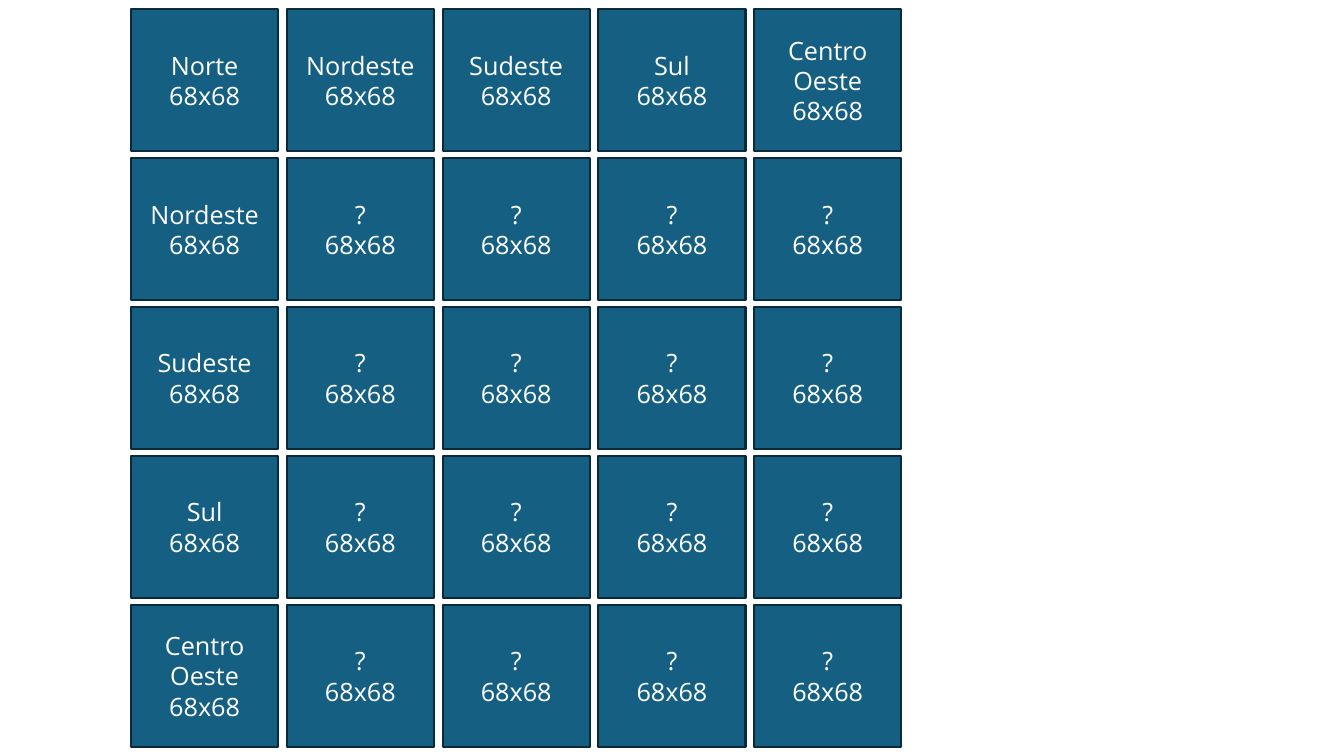
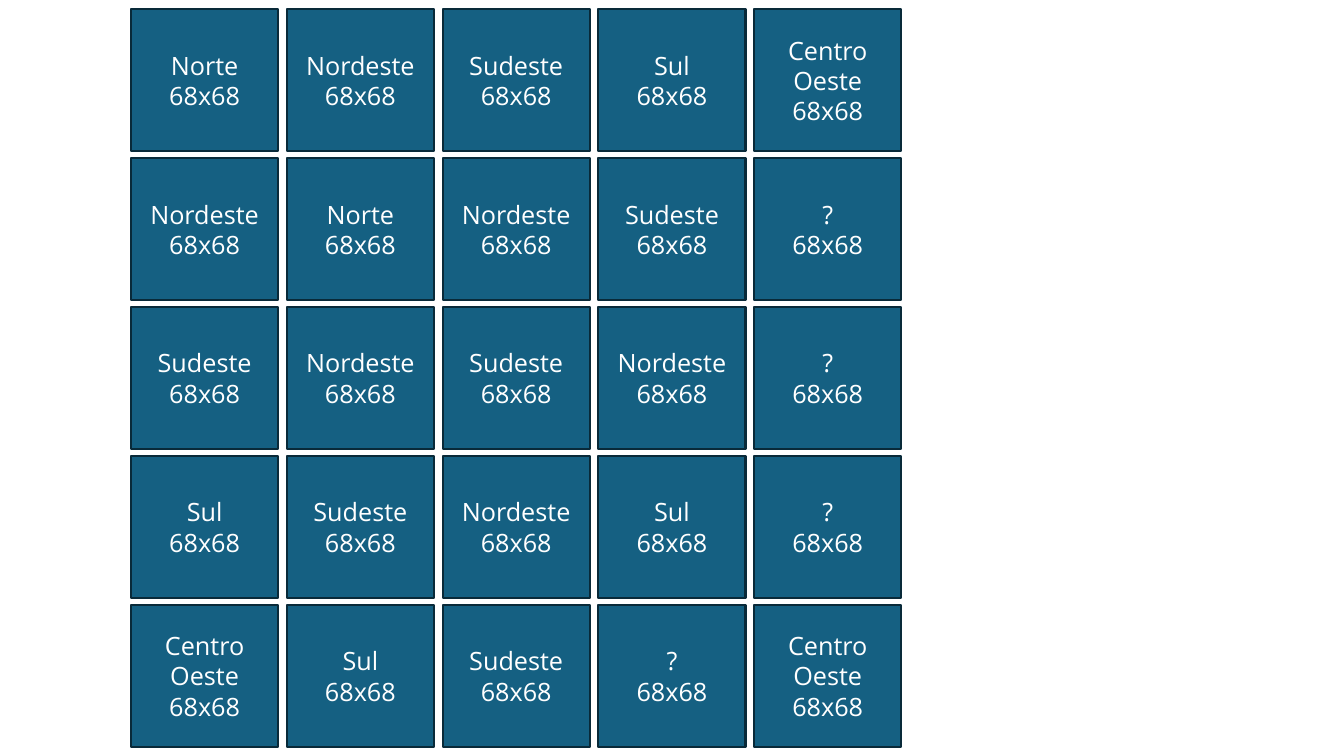
from dataclasses import dataclass

from pptx import Presentation
from pptx.dml.color import RGBColor
from pptx.enum.shapes import MSO_SHAPE as SHAPE
from pptx.enum.text import MSO_ANCHOR as ANCHOR, PP_ALIGN as ALIGN
from pptx.util import Inches, Pt

N, NE, SE, S, CO = REGIONS = ["Norte", "Nordeste", "Sudeste", "Sul", "Centro Oeste"]
UNKNOWN = "?"
BLOCK_SIZE = "68x68"

INNER_BLOCKS = [
    [[UNKNOWN] * 4] * 4,
    [
        [N, NE, SE, UNKNOWN],
        [NE, SE, NE, UNKNOWN],
        [SE, NE, S, UNKNOWN],
        [S, SE, UNKNOWN, CO],
    ],
]


@dataclass(frozen=True)
class Theme:
    fill: RGBColor = RGBColor.from_string("156082")
    border: RGBColor = RGBColor.from_string("092A39")
    text: RGBColor = RGBColor.from_string("FFFFFF")
    font: str = "Open Sans"
    size: Pt = Pt(18)
    border_width: Pt = Pt(1.5)


THEME = Theme()
SLIDE_W, SLIDE_H = Inches(13.33), Inches(7.5)
LEFT, TOP = Inches(1.3), Inches(0.09)
LAST_LEFT, LAST_TOP = Inches(7.48), Inches(6)
BLOCK_W, BLOCK_H = Inches(1.46), Inches(1.41)
STEP_X = (LAST_LEFT - LEFT) // (len(REGIONS) - 1)
STEP_Y = (LAST_TOP - TOP) // (len(REGIONS) - 1)


def write(tf, lines, *, size=THEME.size, color=THEME.text, align=ALIGN.CENTER):
    tf.word_wrap = True
    tf.vertical_anchor = ANCHOR.MIDDLE
    for i, line in enumerate(lines):
        p = tf.add_paragraph() if i else tf.paragraphs[0]
        p.alignment = align
        r = p.add_run()
        r.text = line
        r.font.name = THEME.font
        r.font.size = size
        r.font.color.rgb = color


def add_block(s, row, col, label):
    sp = s.shapes.add_shape(
        SHAPE.RECTANGLE, LEFT + col * STEP_X, TOP + row * STEP_Y, BLOCK_W, BLOCK_H
    )
    sp.shadow.inherit = False
    sp.fill.solid()
    sp.fill.fore_color.rgb = THEME.fill
    sp.line.color.rgb = THEME.border
    sp.line.width = THEME.border_width
    write(sp.text_frame, [label, BLOCK_SIZE])


def add_matrix_slide(prs, inner):
    s = prs.slides.add_slide(prs.slide_layouts[6])
    rows = [REGIONS] + [[name, *cells] for name, cells in zip(REGIONS[1:], inner)]
    for row, labels in enumerate(rows):
        for col, label in enumerate(labels):
            add_block(s, row, col, label)


def main():
    prs = Presentation()
    prs.slide_width, prs.slide_height = SLIDE_W, SLIDE_H
    for inner in INNER_BLOCKS:
        add_matrix_slide(prs, inner)
    prs.save("out.pptx")


if __name__ == "__main__":
    main()
